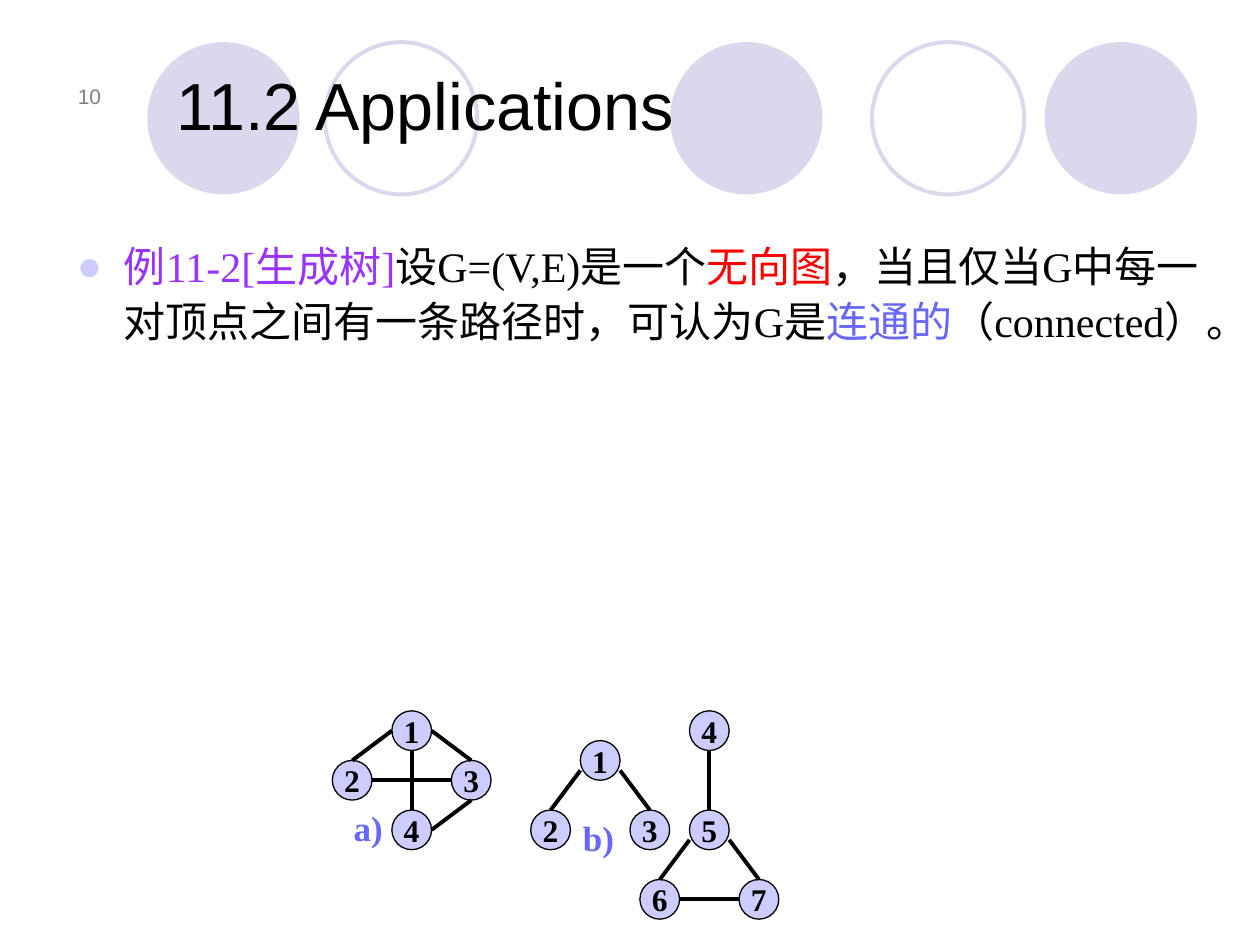
from dataclasses import dataclass

import lxml.etree
import pptx
import pptx.dml.color
import pptx.enum.shapes
import pptx.enum.text
import pptx.oxml
import pptx.oxml.ns
import pptx.util

Cm, Pt = pptx.util.Cm, pptx.util.Pt
RGB = pptx.dml.color.RGBColor.from_string
Anchor = pptx.enum.text.MSO_ANCHOR
Align = pptx.enum.text.PP_ALIGN
OVAL = pptx.enum.shapes.MSO_SHAPE.OVAL
STRAIGHT = pptx.enum.shapes.MSO_CONNECTOR.STRAIGHT
qn = pptx.oxml.ns.qn


@dataclass(frozen=True)
class Theme:
    ink: str = "000000"
    grey: str = "808080"
    band: str = "D9D8EC"
    node: str = "CCCCFF"
    example: str = "9933FF"
    stress: str = "FF0000"
    accent: str = "6767FF"
    sans: str = "Arial"
    serif: str = "Times New Roman"
    title_size: float = 38
    body_size: float = 24
    label_size: float = 20
    node_size: float = 18
    number_size: float = 12


theme = Theme()
deck = pptx.Presentation()
deck.slide_width, deck.slide_height = Cm(25.4), Cm(19.05)
slide = deck.slides.add_slide(deck.slide_layouts[6])


def add_run(paragraph, text, size, color, font=theme.serif, bold=False):
    run = paragraph.add_run()
    run.text = text
    run.font.name, run.font.size, run.font.bold = font, Pt(size), bold
    run.font.color.rgb = RGB(color)


def add_text_area(left, top, width, height, anchor=Anchor.TOP):
    frame = slide.shapes.add_textbox(Cm(left), Cm(top), Cm(width), Cm(height)).text_frame
    frame.word_wrap = True
    frame.vertical_anchor = anchor
    return frame.paragraphs[0]


# Row of decorative circles behind the title
for left, filled in [(13.51, True), (21.06, True), (2.97, True), (17.58, False), (6.55, False)]:
    circle = slide.shapes.add_shape(OVAL, Cm(left), Cm(0.85), Cm(3.07), Cm(3.07))
    circle.shadow.inherit = False
    if filled:
        circle.fill.solid()
        circle.fill.fore_color.rgb = RGB(theme.band)
        circle.line.fill.background()
    else:
        circle.fill.background()
        circle.line.color.rgb = RGB(theme.band)
        circle.line.width = Pt(2.25)

# Page number and title
page_number = add_text_area(0.89, 1.12, 1.4, 1.19, Anchor.BOTTOM)
page_number.alignment = Align.RIGHT
add_run(page_number, "10", theme.number_size, theme.grey, theme.sans)

title = add_text_area(3.3, 1.12, 21.82, 1.9, Anchor.BOTTOM)
add_run(title, "11.2 Applications", theme.title_size, theme.ink, theme.sans)

# Definition with a coloured bullet
definition = add_text_area(1.3, 4.62, 23.65, 11.1)
definition.line_spacing = 1.1
definition.space_before = Pt(4.8)
properties = definition._p.get_or_add_pPr()
properties.set("marL", str(Cm(0.95)))
properties.set("indent", str(-Cm(0.95)))
bullet_color = lxml.etree.SubElement(properties, qn("a:buClr"))
lxml.etree.SubElement(bullet_color, qn("a:srgbClr"), val=theme.node)
lxml.etree.SubElement(properties, qn("a:buFont"), typeface=theme.sans)
lxml.etree.SubElement(properties, qn("a:buChar"), char="●")
for text, color in [
    ("例11-2[生成树]", theme.example),
    ("设G=(V,E)是一个", theme.ink),
    ("无向图", theme.stress),
    ("，当且仅当G中每一对顶点之间有一条路径时，可认为G是", theme.ink),
    ("连通的", theme.accent),
    ("（connected）。", theme.ink),
]:
    add_run(definition, text, theme.body_size, color)

# Graphs: vertex centres in cm, edges as (vertex, side, vertex, side)
radius = 0.4
sides = {
    "top": (0, -radius),
    "bottom": (0, radius),
    "left": (-radius, 0),
    "right": (radius, 0),
    "low left": (-radius, radius / 2),
    "low right": (radius, radius / 2),
}
graphs = [
    {
        "label": ("a)", 6.88, 16.13),
        "vertices": {1: (8.3, 14.73), 2: (7.1, 15.73), 3: (9.5, 15.73), 4: (8.3, 16.73)},
        "edges": [
            (1, "bottom", 4, "top"),
            (2, "right", 3, "left"),
            (1, "left", 2, "top"),
            (3, "bottom", 4, "right"),
            (3, "top", 1, "right"),
        ],
    },
    {
        "label": ("b)", 11.5, 16.33),
        "vertices": {
            1: (12.1, 15.33), 2: (11.1, 16.73), 3: (13.1, 16.73), 4: (14.3, 14.73),
            5: (14.3, 16.73), 6: (13.3, 18.13), 7: (15.3, 18.13),
        },
        "edges": [
            (1, "low left", 2, "top"),
            (3, "top", 1, "low right"),
            (4, "bottom", 5, "top"),
            (6, "right", 7, "left"),
            (5, "low left", 6, "top"),
            (7, "top", 5, "low right"),
        ],
    },
]

for graph in graphs:
    vertices = graph["vertices"]
    for number, (x, y) in vertices.items():
        vertex = slide.shapes.add_shape(
            OVAL, Cm(x - radius), Cm(y - radius), Cm(2 * radius), Cm(2 * radius))
        vertex.shadow.inherit = False
        vertex.fill.solid()
        vertex.fill.fore_color.rgb = RGB(theme.node)
        vertex.line.color.rgb = RGB(theme.ink)
        vertex.line.width = Pt(0.75)
        frame = vertex.text_frame
        frame.word_wrap = False
        frame.vertical_anchor = Anchor.MIDDLE
        frame.paragraphs[0].alignment = Align.CENTER
        add_run(frame.paragraphs[0], str(number), theme.node_size, theme.ink, bold=True)

    for start, start_side, end, end_side in graph["edges"]:
        points = [
            Cm(centre + offset)
            for vertex, side in [(start, start_side), (end, end_side)]
            for centre, offset in zip(vertices[vertex], sides[side])
        ]
        edge = slide.shapes.add_connector(STRAIGHT, *points)
        edge.line.color.rgb = RGB(theme.ink)
        edge.line.width = Pt(2.25)
        lxml.etree.SubElement(edge._element.spPr, qn("a:effectLst"))

    text, left, top = graph["label"]
    label = add_text_area(left, top, 1.2, 1.1)
    label.space_before = Pt(10)
    add_run(label, text, theme.label_size, theme.accent, bold=True)

deck.save("out.pptx")
